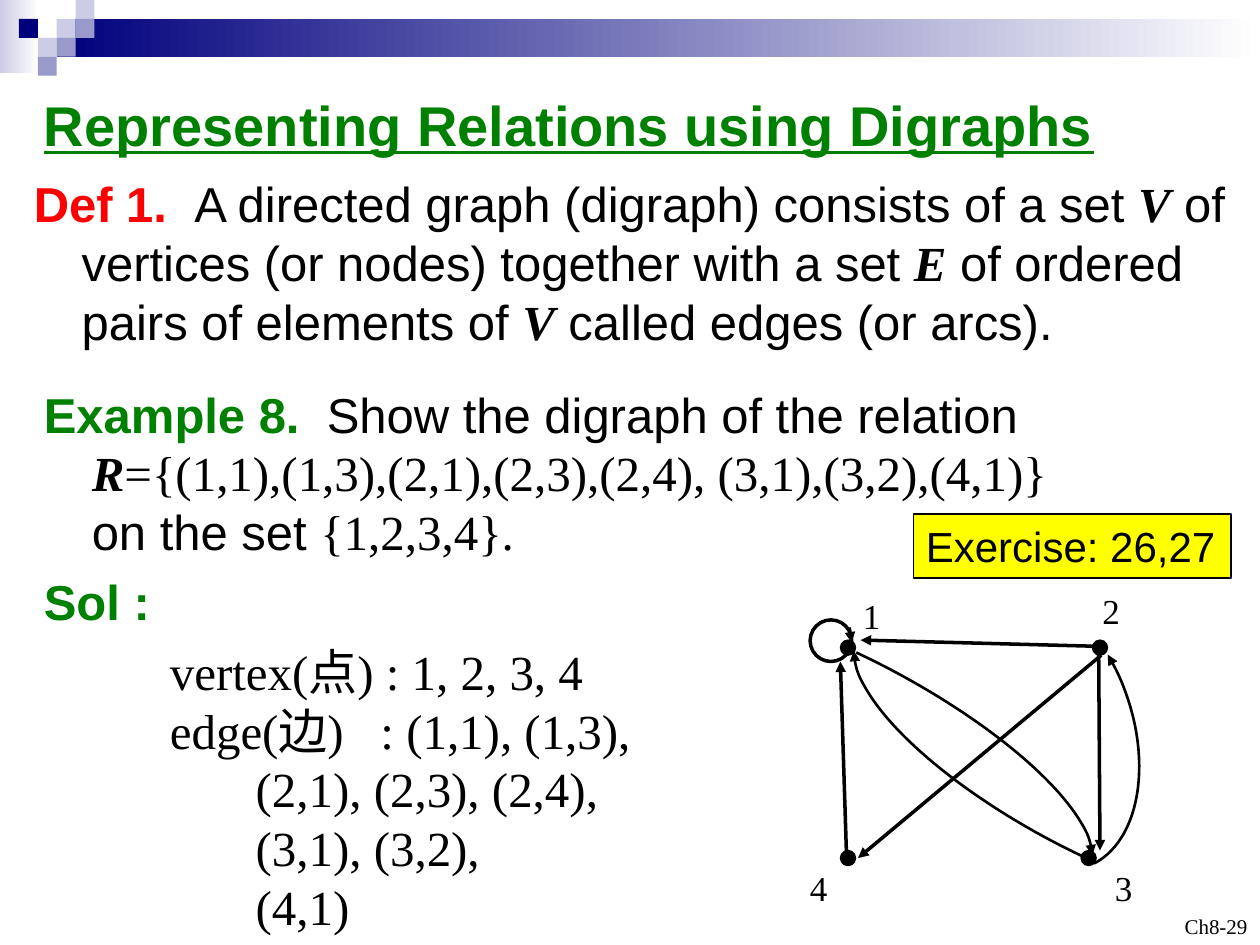
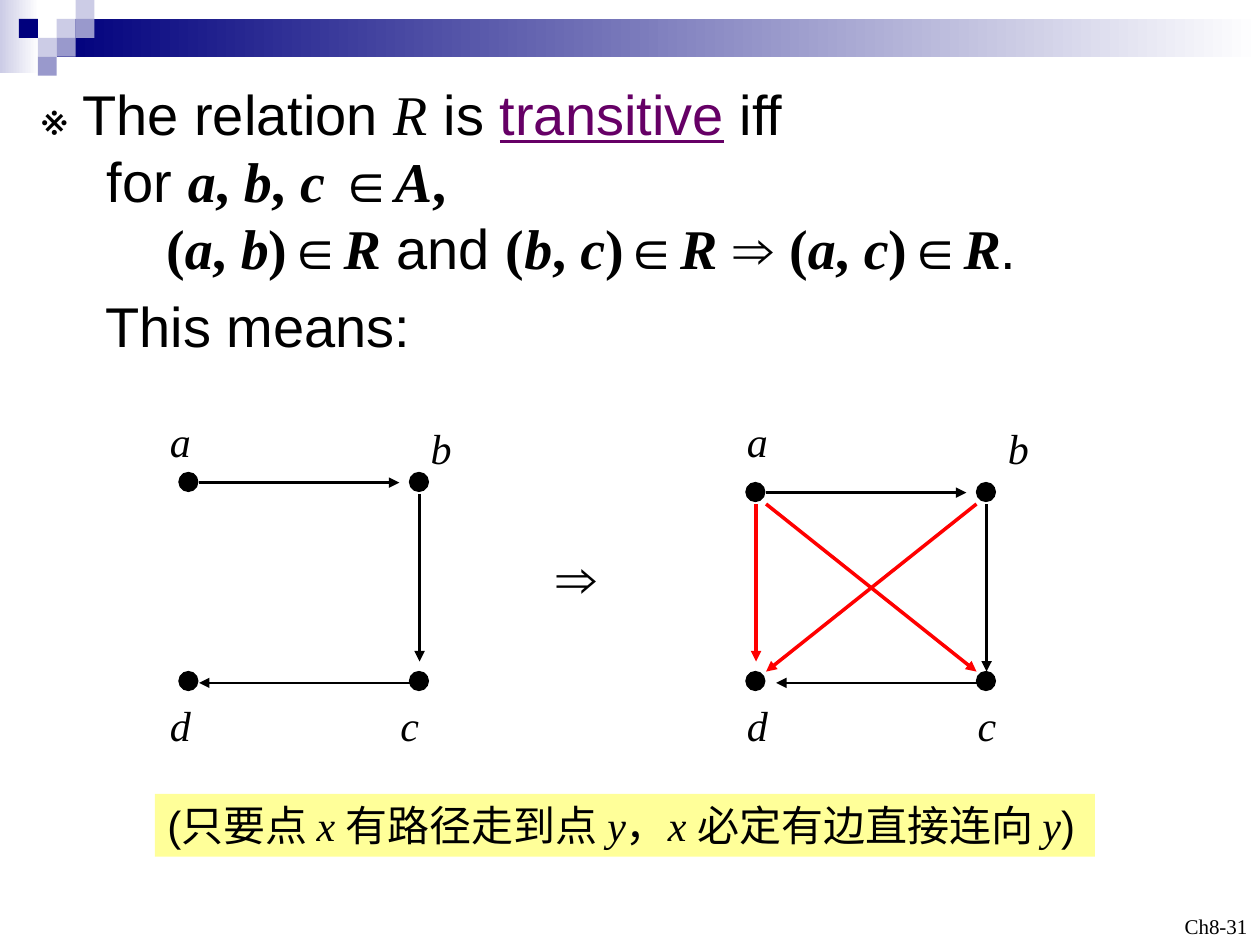
from dataclasses import dataclass

from lxml import etree
from pptx import Presentation
from pptx.dml.color import RGBColor
from pptx.enum.shapes import MSO_CONNECTOR, MSO_SHAPE
from pptx.enum.text import MSO_ANCHOR, MSO_AUTO_SIZE, PP_ALIGN
from pptx.oxml.ns import qn
from pptx.util import Pt

RECT, OVAL, ARC = MSO_SHAPE.RECTANGLE, MSO_SHAPE.OVAL, MSO_SHAPE.ARC
LINE = MSO_CONNECTOR.STRAIGHT
TOP, BOTTOM = MSO_ANCHOR.TOP, MSO_ANCHOR.BOTTOM
LEFT, RIGHT = PP_ALIGN.LEFT, PP_ALIGN.RIGHT
GROW, FIXED = MSO_AUTO_SIZE.SHAPE_TO_FIT_TEXT, MSO_AUTO_SIZE.NONE
PX = 9144  # 100 px to the inch
WIDE, HIGH = 1000, 750


@dataclass(frozen=True)
class Theme:
    sans: str = "Arial"
    serif: str = "Times New Roman"
    ink: str = "000000"
    white: str = "FFFFFF"
    green: str = "008000"
    red: str = "FF0000"
    plum: str = "660066"
    navy: str = "00007D"
    mid: str = "9999CC"
    pale: str = "CCCCE6"
    yellow: str = "FFFF00"
    cream: str = "FFFF99"
    title: int = 32
    body: int = 28
    note: int = 24
    label: int = 20
    foot: int = 12


T = Theme()

# One letter for each change to a run's format
STYLES = {
    "b": {"bold": True},
    "i": {"italic": True},
    "u": {"underline": True},
    "s": {"name": T.serif},
    "g": {"color": T.green},
    "r": {"color": T.red},
    "p": {"color": T.plum},
    "m": {"size": Pt(T.body)},
}


def rgb(code):
    return RGBColor.from_string(code)


# ---- Text ----
def add_run(par, style, text, size, gap=0):
    run = par.add_run()
    run.text = text
    look = {"name": T.sans, "size": Pt(size), "color": T.ink}
    for key in style:
        look.update(STYLES[key])
    run.font.color.rgb = rgb(look.pop("color"))
    for name, value in look.items():
        setattr(run.font, name, value)
    if gap:
        run.font._element.set("spc", str(gap))


def fill_text(shape, pars, size, wrap=True, anchor=TOP, align=LEFT):
    """Each paragraph is (runs, left, hang, before); a run is (style, text, gap)."""
    frame = shape.text_frame
    look = {"word_wrap": wrap, "vertical_anchor": anchor,
            "auto_size": FIXED if wrap else GROW}
    for name, value in look.items():
        setattr(frame, name, value)
    for n, (runs, left, hang, before) in enumerate(pars):
        par = frame.add_paragraph() if n else frame.paragraphs[0]
        props = par._p.get_or_add_pPr()
        props.set("marL", str(left * PX))
        props.set("indent", str(-hang * PX))
        par.alignment = align
        par.space_before = Pt(before)
        for run in runs:
            if run == "\n":
                par.add_line_break()
            else:
                add_run(par, run[0], run[1], size, *run[2:])


def par(*runs, left=0, hang=0, before=0):
    return runs, left, hang, before


def add_text(slide, box, pars, size, **opts):
    shape = slide.shapes.add_textbox(*(v * PX for v in box))
    fill_text(shape, pars, size, **opts)


def add_label(slide, x, y, text, size, style="s", width=35):
    add_text(slide, (x, y, width, size * 2), [par((style, text))], size, wrap=False)


# ---- Shapes and lines ----
def add_shape(slide, kind, box, fill=None, line=None, weight=1):
    shape = slide.shapes.add_shape(kind, *(v * PX for v in box))
    shape.shadow.inherit = False
    if isinstance(fill, tuple):
        shape.fill.gradient()
        shape.fill.gradient_angle = 0
        for n, (stop, color) in enumerate(zip(shape.fill.gradient_stops, fill)):
            stop.position = n
            stop.color.rgb = rgb(color)
    elif fill:
        shape.fill.solid()
        shape.fill.fore_color.rgb = rgb(fill)
    else:
        shape.fill.background()
    if line:
        shape.line.color.rgb = rgb(line)
        shape.line.width = Pt(weight)
    else:
        shape.line.fill.background()
    return shape


def add_head(shape, end="a:tailEnd"):
    line = shape.element.spPr.find(qn("a:ln"))
    etree.SubElement(line, qn(end)).set("type", "triangle")


def add_arrow(slide, x, y, ends, color=T.ink, weight=2):
    x1, y1, x2, y2 = ends
    arrow = slide.shapes.add_connector(
        LINE, (x + x1) * PX, (y + y1) * PX, (x + x2) * PX, (y + y2) * PX)
    arrow.line.color.rgb = rgb(color)
    arrow.line.width = Pt(weight)
    add_head(arrow)
    etree.SubElement(arrow.element.spPr, qn("a:effectLst"))


def add_arc(slide, box, turn, end="a:tailEnd"):
    arc = add_shape(slide, ARC, box, line=T.ink, weight=1.5)
    arc.adjustments[0], arc.adjustments[1] = 145.91, 214.01
    arc.rotation = turn
    add_head(arc, end)


def add_dot(slide, x, y, size):
    add_shape(slide, OVAL, (x, y, size, size), T.ink, T.ink, 0.75)


# ---- Shared frame ----
def add_frame(slide, page):
    add_shape(slide, RECT, (0, 0, 31, 58), (T.pale, T.white))
    add_shape(slide, RECT, (45, 15, WIDE - 45, 30), (T.navy, T.white))
    tiles = [(3, 1, T.pale), (4, 0, T.pale), (4, 1, T.mid), (2, 2, T.pale),
             (1, 1, T.navy), (3, 2, T.mid), (2, 3, T.mid)]
    for col, row, color in tiles:
        add_shape(slide, RECT, (col * 15, row * 15, 15, 15), color)
    add_text(slide, (767, 700, 233, 50), [par(("s", page))], T.foot,
             anchor=BOTTOM, align=RIGHT)


# ---- Digraph of R on {1,2,3,4} ----
def add_digraph(slide, x, y):
    add_shape(slide, OVAL, (x + 10, y + 29, 33, 33), line=T.ink, weight=2)
    add_arc(slide, (x - 166, y + 62, 422, 134), 28)
    add_arc(slide, (x + 23, y + 69, 422, 143), 208)
    add_arc(slide, (x + 73, y + 39, 235, 150), 70.9, "a:headEnd")
    for ends in [(41, 35, 43, 47), (39, 220, 34, 62), (239, 54, 240, 212),
                 (241, 57, 48, 218), (240, 50, 50, 45)]:
        add_arrow(slide, x, y, ends)
    for dx, dy in [(34, 45), (234, 45), (225, 212), (34, 212)]:
        add_dot(slide, x + dx, y + dy, 12)
    for text, dx, dy in [("1", 42, 4), ("2", 232, 0), ("3", 242, 220), ("4", 0, 220)]:
        add_label(slide, x + dx, y + dy, text, T.label)


# ---- Square graph a, b, c, d ----
def add_square(slide, x, y, shift=0, drop=0):
    near, far = 17 - shift, 200 - shift
    for dx, dy in [(near, 50 + drop), (far, 50 + drop), (far, 208), (near, 208)]:
        add_dot(slide, x + dx, y + dy, 15)
    add_arrow(slide, x, y, (near + 16, 58 + drop, far - 8, 58 + drop))
    add_arrow(slide, x, y, (far + 8, 67 + drop, far + 8, 200 + drop))
    add_arrow(slide, x, y, (far, 217, 33, 217), weight=1.5)
    for text, dx, dy in [("a", 0, 0), ("b", 207, 5), ("c", 183, 225), ("d", 0, 225)]:
        add_label(slide, x + dx, y + dy, text, T.note, "si")


# ---- Slides ----
def build_digraph(slide):
    add_frame(slide, "Ch8-29")
    add_label(slide, 25, 67, "Representing Relations using Digraphs", T.title,
              "bug", 859)
    add_text(slide, (17, 133, 967, 150), [par(
        ("br", "Def 1."), ("b", " ", 780),
        ("", "A directed graph (digraph) consists of a set "), ("sbi", "V"),
        ("", " of vertices (or nodes) together with a set "), ("sbi", "E"),
        ("", " of ordered pairs of elements of "), ("sbi", "V"),
        ("", " called edges (or arcs)."), left=38, hang=38)], T.body)
    add_text(slide, (25, 300, 858, 200), [
        par(("bg", "Example 8."), ("", " ", 780),
            ("", "Show the digraph of the relation "), "\n", ("sbi", "R"),
            ("s", "={(1,1),(1,3),(2,1),(2,3),(2,4), (3,1),(3,2),(4,1)}"),
            ("", " on the set "), ("s", "{1,2,3,4}."), left=38, hang=38),
        par(("bg", "Sol :"), left=38, hang=38, before=6)], T.body)
    pairs = ["(2,1), (2,3), (2,4),", "(3,1), (3,2),", "(4,1)"]
    add_text(slide, (125, 504, 408, 244), [
        par(("s", "vertex(点) : 1, 2, 3, 4")),
        par(("s", "edge(边)"), ("s", " ", 1400), ("s", ": (1,1), (1,3),")),
        *(par(("s", text), left=68) for text in pairs)], T.body)
    add_digraph(slide, 633, 463)
    box = add_shape(slide, RECT, (725, 408, 252, 51), T.yellow, T.ink)
    fill_text(box, [par(("", "Exercise: 26,27"))], T.note, wrap=False)


def pair(one, two):
    """The runs of an ordered pair that belongs to R."""
    return [("sb", "("), ("sbi", one), ("sb", ", "), ("sbi", two),
            ("sb", ")∈"), ("sbi", "R")]


def build_trans(slide):
    add_frame(slide, "Ch8-31")
    add_text(slide, (0, 58, 975, 233), [
        par(("m", "※ "), ("", "The relation "), ("si", "R"), ("", " is "),
            ("up", "transitive"), ("", " iff"), left=22),
        par(("", "for "), ("sbi", "a"), ("sb", ", "), ("sbi", "b"), ("sb", ", "),
            ("sbi", "c "), ("sb", "∈"), ("sbi", "A"), ("sb", ","), left=75),
        par(*pair("a", "b"), ("", " and "), *pair("b", "c"), ("", " ⇒ "),
            *pair("a", "c"), ("", "."), left=122),
        par(("", "This means:"), left=74, before=6)], T.title)
    add_label(slide, 432, 426, "⇒", T.title, "", 64)
    # Edges that transitivity forces
    for ends in [(25, 75, 192, 208), (17, 75, 17, 200), (192, 75, 25, 208)]:
        add_arrow(slide, 583, 325, ends, T.red)
    add_square(slide, 125, 325)
    add_square(slide, 583, 325, shift=8, drop=8)
    # Remark
    band = add_shape(slide, RECT, (123, 630, 746, 50), T.cream)
    fill_text(band, [par(
        ("", "(只要点 "), ("si", "x "), ("", "有路径走到点 "), ("si", "y"),
        ("", "，"), ("si", "x "), ("", "必定有边直接连向 "), ("si", "y"),
        ("", ")"))], T.note)


def main():
    deck = Presentation()
    deck.slide_width, deck.slide_height = WIDE * PX, HIGH * PX
    for build in (build_digraph, build_trans):
        build(deck.slides.add_slide(deck.slide_layouts[6]))
    deck.save("out.pptx")


if __name__ == "__main__":
    main()
